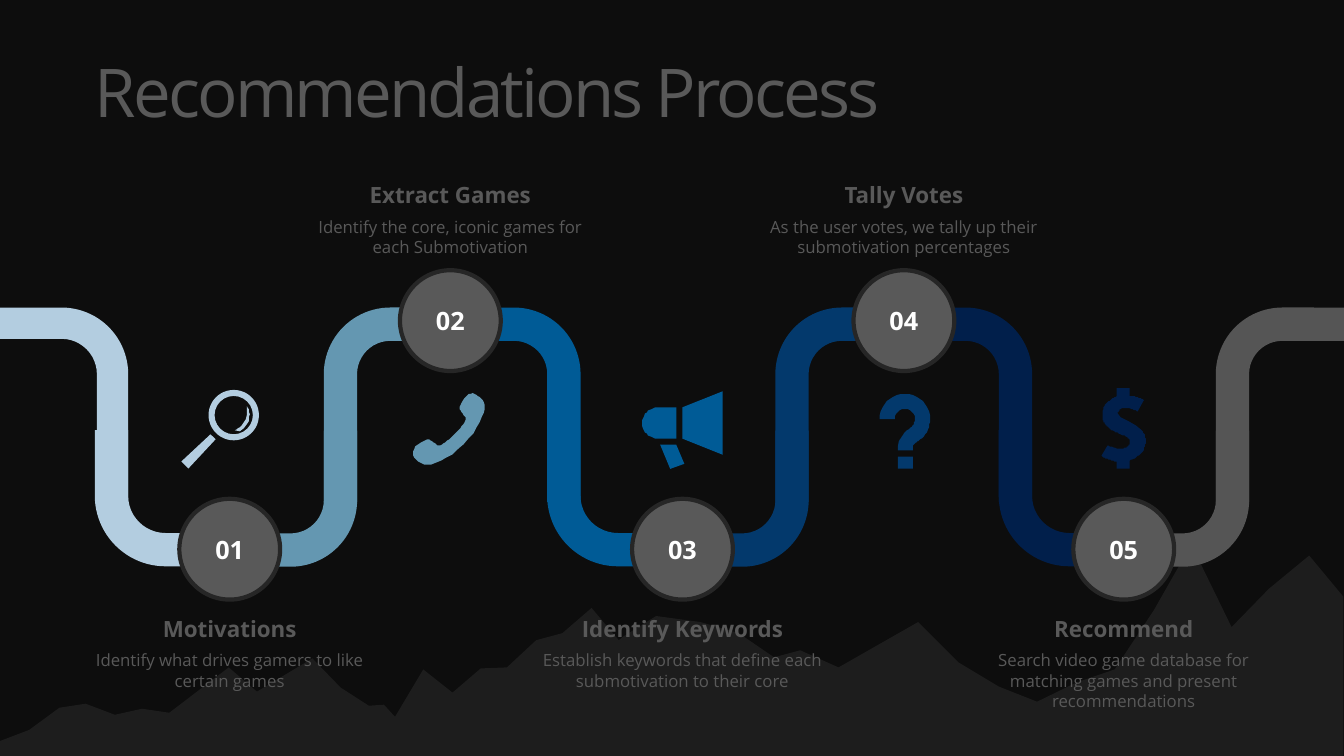
from dataclasses import dataclass

from lxml.etree import SubElement
from pptx import Presentation
from pptx.dml.color import RGBColor
from pptx.enum.shapes import MSO_SHAPE
from pptx.enum.text import MSO_ANCHOR, PP_ALIGN
from pptx.oxml.ns import qn
from pptx.util import Cm, Pt


@dataclass(frozen=True)
class Theme:
    font: str = "Open Sans"
    background: str = "0D0D0D"
    mountain: str = "262626"
    grey: str = "595959"
    white: str = "FFFFFF"
    road: tuple = ("B3CDE0", "6497B1", "005B96", "03396C", "011F4B", "555555")
    title_size: int = 48
    number_size: int = 18
    heading_size: int = 16
    body_size: int = 12


THEME = Theme()
UNIT = 0.0254  # centimetres per outline unit

# Each step: circle centre, whether it sits on the upper road, heading, body
STEPS = [
    (5.79, False, "Motivations", "Identify what drives gamers to like certain games"),
    (11.35, True, "Extract Games", "Identify the core, iconic games for each Submotivation"),
    (17.20, False, "Identify Keywords",
     "Establish keywords that define each submotivation to their core"),
    (22.78, True, "Tally Votes",
     "As the user votes, we tally up their submotivation percentages"),
    (28.32, False, "Recommend",
     "Search video game database for matching games and present recommendations"),
]
ROAD_LEFTS = [0, 5.77, 11.40, 17.15, 22.78, 28.25]

# Outline points: (x, y) is a corner, six numbers are a cubic curve
MOUNTAINS = [
    (1182, 0), (1222, 82), (1259, 44), (1299, 11), (1333, 52), (1333, 210), (0, 210),
    (0, 195), (29, 184), (59, 162), (85, 158), (114, 169), (141, 163), (168, 167),
    (227, 122), (255, 146), (310, 113), (338, 142), (366, 160), (381, 159), (392, 171),
    (420, 124), (449, 147), (477, 123), (503, 122), (532, 95), (558, 88), (587, 63),
    (614, 95), (619, 91), (651, 71), (695, 77), (733, 88), (768, 112), (794, 105),
    (832, 122), (911, 77), (951, 117), (991, 141), (1029, 156), (1068, 137),
    (1106, 124), (1145, 65),
]
MAGNIFIER = [
    [(0, 74), (7, 81), (34, 52), (29, 47)],
    [(65, 19), (68, 37, 53, 43, 53, 43), (58, 44), (74, 33, 65, 19, 65, 19)],
]
PHONE = [[
    (46, 46), (40, 52, 32, 59, 29, 55), (24, 51, 21, 47, 11, 55), (0, 63, 8, 70, 13, 73),
    (17, 79, 37, 74, 56, 55), (75, 36, 80, 17, 75, 11), (70, 6, 65, 0, 57, 9),
    (49, 19, 53, 22, 57, 27), (61, 30, 54, 38, 46, 46),
]]
MEGAPHONE = [
    [(34, 16), (16, 16), (7, 16, 0, 23, 0, 32), (0, 40, 7, 47, 16, 47), (34, 47)],
    [(40, 16), (40, 47), (80, 63), (80, 0)],
    [(18, 53), (28, 77), (42, 72), (34, 53)],
]
QUESTION = [[
    (50, 25), (50, 11, 39, 0, 25, 0), (11, 0, 0, 11, 0, 25), (15, 25),
    (15, 19, 19, 15, 25, 15), (31, 15, 35, 19, 35, 25), (35, 29, 33, 32, 30, 34),
    (25, 37, 22, 41, 19, 47), (18, 52), (18, 56), (33, 56), (33, 52),
    (34, 49, 36, 48, 38, 47), (45, 42, 50, 34, 50, 25),
]]
DOLLAR = [[
    (39, 41), (34, 37), (27, 33), (19, 29), (16, 25), (16, 24, 17, 23, 18, 22),
    (19, 20, 21, 20, 24, 20), (29, 20, 33, 22, 36, 23), (42, 12), (41, 11),
    (38, 10, 34, 8, 28, 8), (28, 0), (15, 0), (15, 8), (12, 10, 8, 12, 5, 15),
    (2, 18, 1, 22, 1, 27), (1, 29, 1, 32, 2, 33), (3, 35, 4, 37, 6, 38),
    (9, 42, 13, 43, 19, 46), (27, 48, 28, 51, 28, 54), (28, 56, 27, 57, 26, 58),
    (24, 59, 22, 60, 20, 60), (14, 60, 9, 58, 6, 57), (0, 67), (1, 68),
    (4, 70, 10, 72, 15, 73), (15, 80), (28, 80), (28, 72), (32, 70, 36, 68, 39, 65),
    (41, 63, 42, 62, 42, 60), (43, 57, 44, 55, 44, 53), (44, 48, 42, 44, 39, 41),
]]
# Each icon: left, top, outlines, preset part as (kind, left, top, width, height)
ICONS = [
    (4.57, 9.75, MAGNIFIER, (MSO_SHAPE.DONUT, 27, 3, 50, 50)),
    (10.26, 9.80, PHONE, None),
    (16.18, 9.86, MEGAPHONE, None),
    (22.17, 9.93, QUESTION, (MSO_SHAPE.RECTANGLE, 18, 62, 15, 12)),
    (27.76, 9.78, DOLLAR, None),
]


def paint(shape, color):
    shape.shadow.inherit = False
    shape.fill.solid()
    shape.fill.fore_color.rgb = RGBColor.from_string(color)
    shape.line.fill.background()


def style_run(run, size, color, bold=False):
    run.font.name = THEME.font
    run.font.size = Pt(size)
    run.font.bold = bold
    run.font.color.rgb = RGBColor.from_string(color)


def flatten(outline, steps=10):
    """Turn the curves of an outline into short straight pieces."""
    points = [outline[0]]
    for part in outline[1:]:
        if len(part) == 2:
            points.append(part)
            continue
        start, first, second, end = points[-1], part[:2], part[2:4], part[4:]
        for step in range(1, steps + 1):
            t = step / steps
            points.append(tuple(
                (1 - t) ** 3 * a + 3 * (1 - t) ** 2 * t * b + 3 * (1 - t) * t * t * c + t ** 3 * d
                for a, b, c, d in zip(start, first, second, end)))
    return points


def add_outline(slide, left, top, outline, color):
    points = flatten(outline)
    builder = slide.shapes.build_freeform(*points[0], scale=Cm(UNIT))
    builder.add_line_segments(points[1:], close=True)
    shape = builder.convert_to_shape(Cm(left), Cm(top))
    paint(shape, color)
    return shape


def add_mountains(slide, left, top):
    shape = add_outline(slide, left, top, MOUNTAINS, THEME.mountain)
    color = shape.fill._xPr.find(qn("a:solidFill")).find(qn("a:srgbClr"))
    SubElement(color, qn("a:alpha")).set("val", "67000")


def add_title(slide, left, top, width, height):
    text_frame = slide.shapes.add_textbox(Cm(left), Cm(top), Cm(width), Cm(height)).text_frame
    text_frame.word_wrap = True
    text_frame.vertical_anchor = MSO_ANCHOR.MIDDLE
    text_frame.margin_left = Cm(0.18)
    text_frame.text = "Recommendations Process"
    paragraph = text_frame.paragraphs[0]
    paragraph.line_spacing = 0.9
    style_run(paragraph.runs[0], THEME.title_size, THEME.grey)
    paragraph.runs[0].font._element.set("spc", "-200")


def add_bend(slide, left, top, width, height, rotation, color, thickness):
    """Fill the given box, as seen after rotation, with a quarter bend."""
    turned = rotation % 180 == 90
    own_width, own_height = (height, width) if turned else (width, height)
    shape = slide.shapes.add_shape(
        MSO_SHAPE.BENT_ARROW, Cm(left + (width - own_width) / 2),
        Cm(top + (height - own_height) / 2), Cm(own_width), Cm(own_height))
    shape.rotation = rotation
    share = thickness / min(width, height)
    for index, value in enumerate((share, share / 2, 0, 0.52)):
        shape.adjustments[index] = value
    paint(shape, color)


def add_road(slide, top):
    for index, (left, color) in enumerate(zip(ROAD_LEFTS, THEME.road)):
        thickness = 0.79 if index == 0 else 0.84
        upper = [3.23, 4.90]
        if index % 2 == 0:
            add_bend(slide, left + 2.39, top + 3.09, 3.48, 3.43, 270, color, 0.84)
            add_bend(slide, left, top, *upper, 90, color, thickness)
        else:
            add_bend(slide, left, top + 3.10, 3.23, 3.43, 180, color, thickness)
            add_bend(slide, left + 2.39, top, *upper, 0, color, thickness)


def add_number(slide, center, top, number, diameter=2.54):
    shape = slide.shapes.add_shape(
        MSO_SHAPE.OVAL, Cm(center - diameter / 2), Cm(top), Cm(diameter), Cm(diameter))
    paint(shape, THEME.grey)
    shape.line.color.rgb = RGBColor.from_string(THEME.mountain)
    shape.line.width = Pt(3)
    shape.text_frame.text = f"{number:02}"
    shape.text_frame.vertical_anchor = MSO_ANCHOR.MIDDLE
    paragraph = shape.text_frame.paragraphs[0]
    paragraph.alignment = PP_ALIGN.CENTER
    style_run(paragraph.runs[0], THEME.number_size, THEME.white, True)


def add_caption(slide, center, top, heading, body, width=8.13, height=2.18):
    text_frame = slide.shapes.add_textbox(
        Cm(center - width / 2), Cm(top), Cm(width), Cm(height)).text_frame
    text_frame.word_wrap = True
    text_frame.text = f"{heading}\n{body}"
    sizes = (THEME.heading_size, THEME.body_size)
    for paragraph, size in zip(text_frame.paragraphs, sizes):
        paragraph.alignment = PP_ALIGN.CENTER
        paragraph.space_after = Pt(6)
        style_run(paragraph.runs[0], size, THEME.grey, size == THEME.heading_size)


def add_icon(slide, left, top, outlines, preset, color):
    for outline in outlines:
        add_outline(slide, left, top, outline, color)
    if preset:
        kind, *box = preset
        x, y, width, height = (value * UNIT for value in box)
        shape = slide.shapes.add_shape(kind, Cm(left + x), Cm(top + y), Cm(width), Cm(height))
        paint(shape, color)
        if kind == MSO_SHAPE.DONUT:
            shape.adjustments[0] = 0.12


def main():
    presentation = Presentation()
    presentation.slide_width, presentation.slide_height = Cm(33.87), Cm(19.05)
    slide = presentation.slides.add_slide(presentation.slide_layouts[6])
    slide.background.fill.solid()
    slide.background.fill.fore_color.rgb = RGBColor.from_string(THEME.background)
    add_mountains(slide, 0, 13.72)
    add_title(slide, 2.21, 1.65, 29.46, 1.52)
    add_road(slide, 7.75)
    for number, (center, is_upper, heading, body) in enumerate(STEPS, start=1):
        add_number(slide, center, 6.81 if is_upper else 12.57, number)
        add_caption(slide, center, 4.45 if is_upper else 15.37, heading, body)
    for icon, color in zip(ICONS, THEME.road):
        add_icon(slide, *icon, color)
    presentation.save("out.pptx")


if __name__ == "__main__":
    main()
